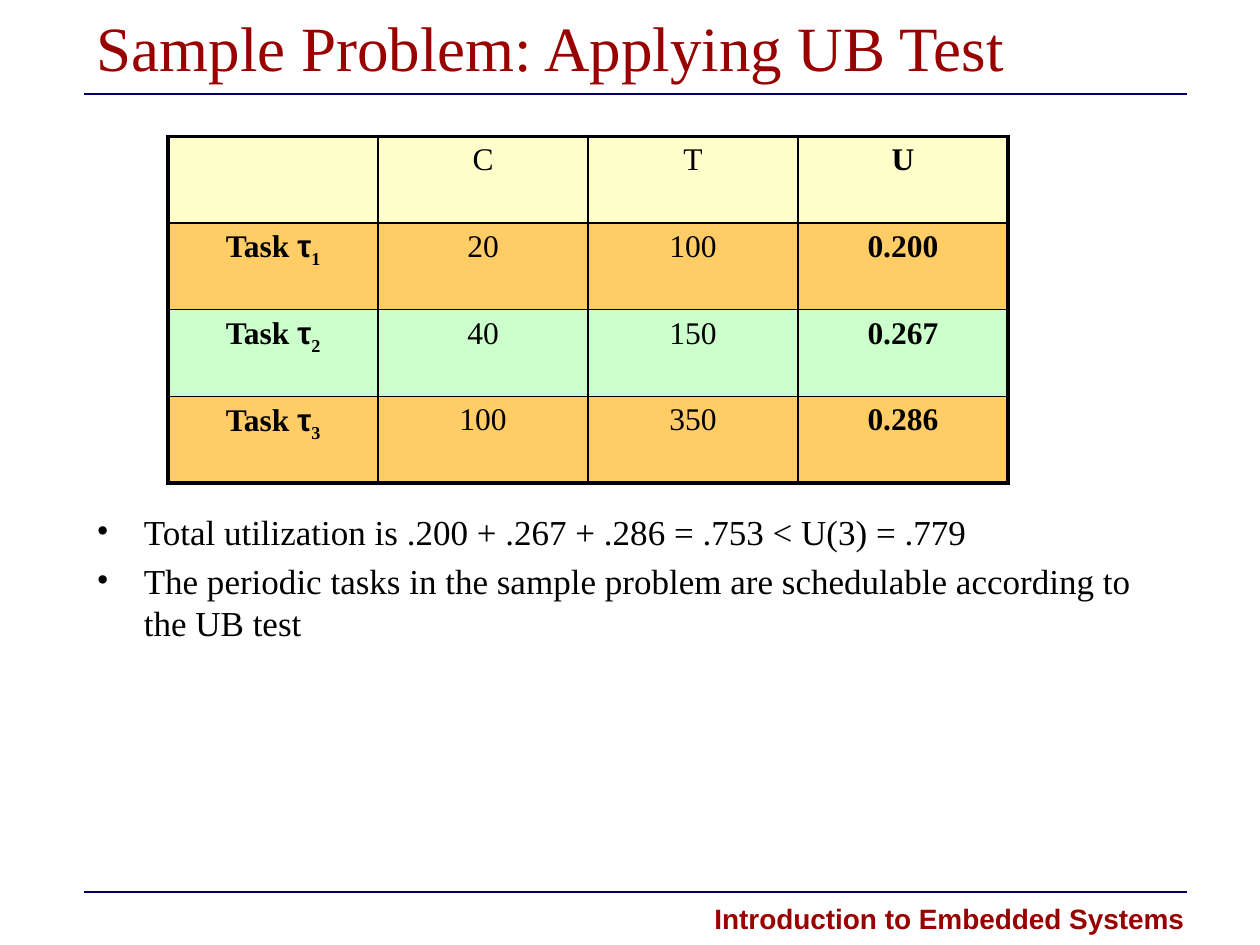
from collections import namedtuple
from lxml.etree import SubElement
from pptx import Presentation
from pptx.dml.color import RGBColor as Color
from pptx.enum.text import MSO_ANCHOR as Anchor, PP_ALIGN as Align
from pptx.oxml.ns import qn
from pptx.util import Cm, Pt

Theme = namedtuple("Theme", "serif sans red navy black cream orange green title body cell footer")
theme = Theme("Times New Roman", "Arial", "990000", "000066", "000000",
              "FFFFCC", "FFCC66", "CCFFCC", 36, 20, 18, 16)


def style(span, size, color, face=theme.serif, bold=False):
    span.font.name = face
    span.font.size = Pt(size)
    span.font.bold = bold
    span.font.color.rgb = Color.from_string(color)


def add_text(left, top, width, height, lines):
    box = page.shapes.add_textbox(Cm(left), Cm(top), Cm(width), Cm(height))
    box.text_frame.word_wrap = True
    box.text_frame.text = "\n".join(lines)
    return box.text_frame


deck = Presentation()
deck.slide_width, deck.slide_height = Cm(25.4), Cm(19.05)
page = deck.slides.add_slide(deck.slide_layouts[6])

for height in (1.9, 17.98):
    rule = page.shapes.add_connector(1, Cm(1.7), Cm(height), Cm(23.92), Cm(height))
    rule.line.color.rgb = Color.from_string(theme.navy)
    rule.line.width = Pt(1)
    SubElement(rule._element.spPr, qn("a:effectLst"))

title = add_text(1.7, 0.2, 22.22, 1.48, ["Sample Problem: Applying UB Test"])
title.vertical_anchor = Anchor.MIDDLE
style(title.paragraphs[0].runs[0], theme.title, theme.red)

footer = add_text(14.05, 18.24, 10.08, 0.76, ["Introduction to Embedded Systems"])
footer.paragraphs[0].alignment = Align.RIGHT
footer.paragraphs[0].line_spacing = Pt(14)
style(footer.paragraphs[0].runs[0], theme.footer, theme.red, theme.sans, True)

points = add_text(1.7, 10.16, 22.22, 7.42, [
    "Total utilization is .200 + .267 + .286 = .753 < U(3) = .779",
    "The periodic tasks in the sample problem are schedulable according to the UB test",
])
for index, para in enumerate(points.paragraphs):
    layout = para._p.get_or_add_pPr()
    layout.set("marL", str(Cm(0.95)))
    layout.set("indent", str(-Cm(0.95)))
    if index:
        para.space_before = Pt(4)
    SubElement(layout, qn("a:buFont"), typeface=theme.serif)
    SubElement(layout, qn("a:buChar"), char="•")
    style(para.runs[0], theme.body, theme.black)

rows = [
    (theme.cream, "", "C", "T", "U"),
    (theme.orange, "1", "20", "100", "0.200"),
    (theme.green, "2", "40", "150", "0.267"),
    (theme.orange, "3", "100", "350", "0.286"),
]
table = page.shapes.add_table(4, 4, Cm(3.39), Cm(2.75), Cm(16.93), Cm(6.99)).table
table.first_row = table.horz_banding = False

for row, (fill, *values) in enumerate(rows):
    for column, value in enumerate(values):
        cell = table.cell(row, column)
        outer = {"L": column == 0, "R": column == 3, "T": row == 0, "B": row == 3}
        for side, thick in outer.items():
            edge = SubElement(cell._tc.get_or_add_tcPr(), qn(f"a:ln{side}"),
                              w=str(Pt(2.25 if thick else 1)))
            paint = SubElement(edge, qn("a:solidFill"))
            SubElement(paint, qn("a:srgbClr"), val=theme.black)
        cell.fill.solid()
        cell.fill.fore_color.rgb = Color.from_string(fill)

        para = cell.text_frame.paragraphs[0]
        para.alignment = Align.CENTER
        label = column == 0 and row > 0
        for part in ("Task ", "τ", value) if label else filter(None, [value]):
            span = para.add_run()
            span.text = part
            face = theme.sans if part == "τ" else theme.serif
            style(span, theme.cell, theme.black, face, column in (0, 3))
        if label:
            span.font._element.set("baseline", "-25000")

deck.save("out.pptx")
